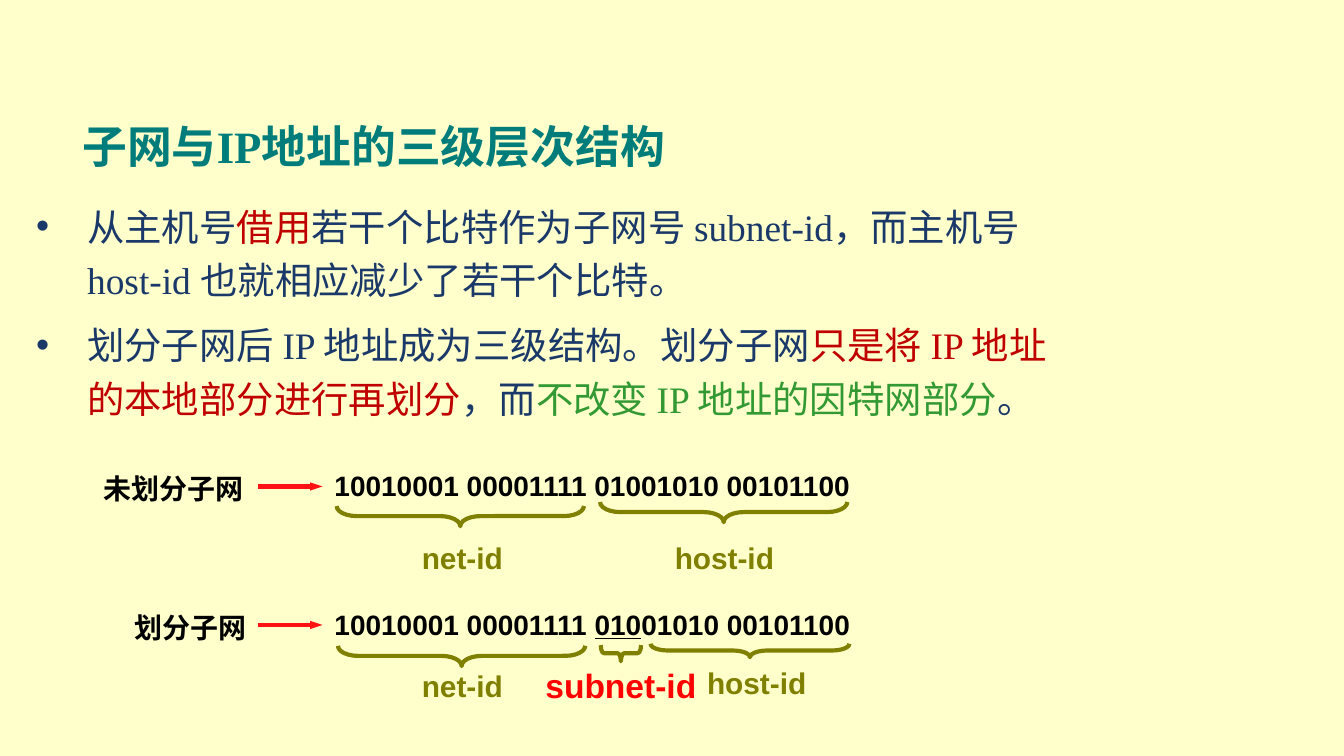
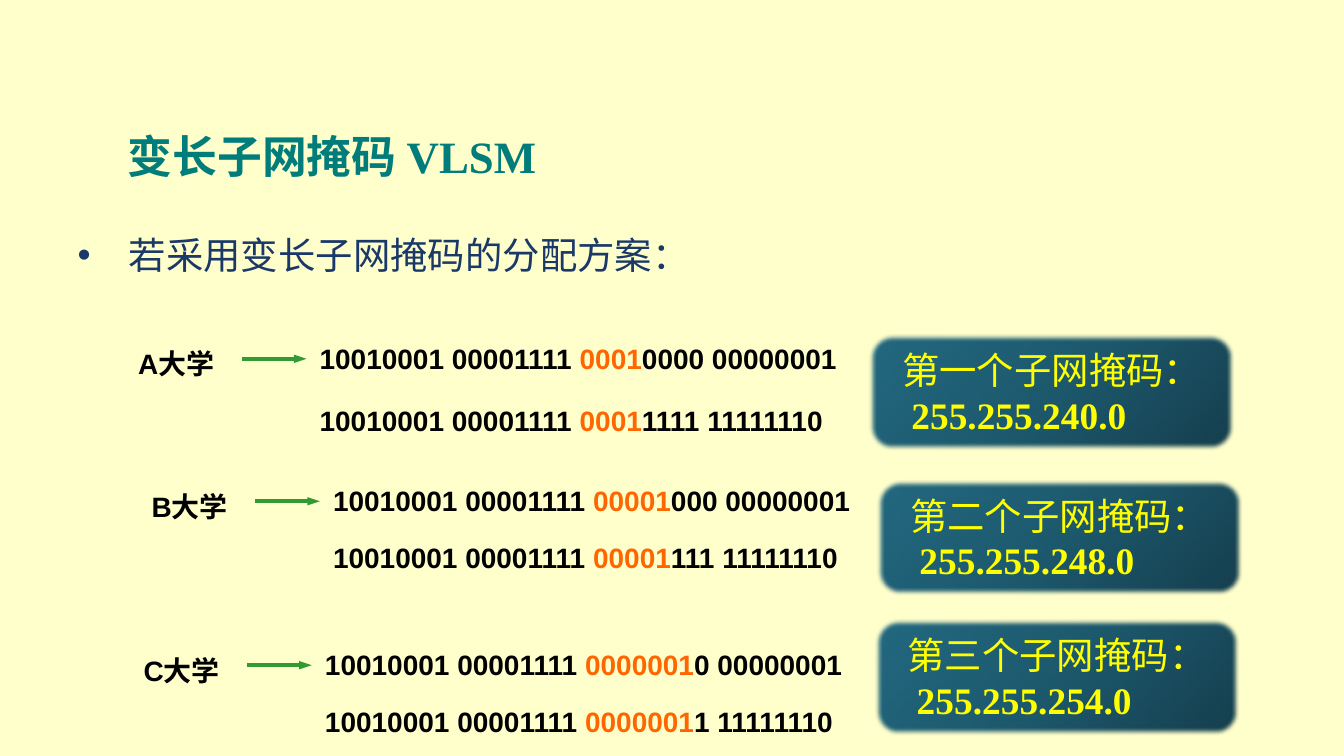
from copy import deepcopy
from lxml.etree import SubElement
from pptx import Presentation
from pptx.dml.color import RGBColor
from pptx.enum.shapes import MSO_CONNECTOR, MSO_SHAPE
from pptx.enum.text import MSO_ANCHOR, PP_ALIGN
from pptx.oxml.ns import qn
from pptx.util import Inches, Pt

CREAM = RGBColor(0xFF, 0xFF, 0xCC)
TEAL = RGBColor(0x00, 0x7D, 0x7A)
NAVY = RGBColor(0x1A, 0x38, 0x68)
CRIMSON = RGBColor(0xC0, 0x00, 0x00)
RED = RGBColor(0xFF, 0x00, 0x00)
ARROW_RED = RGBColor(0xFF, 0x12, 0x12)
GREEN = RGBColor(0x33, 0x99, 0x33)
OLIVE = RGBColor(0x80, 0x80, 0x00)
ORANGE = RGBColor(0xFF, 0x66, 0x00)
BLACK = RGBColor(0x00, 0x00, 0x00)
YELLOW = RGBColor(0xFF, 0xFF, 0x00)
MASK_DARK = RGBColor(0x15, 0x3E, 0x4D)
MASK_MIDDLE = RGBColor(0x1D, 0x59, 0x6D)
MASK_LIGHT = RGBColor(0x23, 0x69, 0x81)

TITLE = {"name": "Times New Roman", "size": Pt(24), "bold": True, "color": TEAL}
BODY = {"name": "Times New Roman", "size": Pt(20), "color": NAVY}
BITS = {"name": "Arial", "size": Pt(15), "bold": True, "color": BLACK}
FIELD = {"name": "Arial", "size": Pt(16), "bold": True, "color": OLIVE}
SUBNET = FIELD | {"size": Pt(18), "color": RED}
MASK = BODY | {"color": YELLOW}

CENTERED = {"alignment": PP_ALIGN.CENTER}
BULLETED = {"space_before": Pt(4), "space_after": Pt(2)}


def write(frame, paragraphs, style, layout={}, bullet=False):
    frame.word_wrap = True
    for index, runs in enumerate(paragraphs):
        paragraph = frame.add_paragraph() if index else frame.paragraphs[0]
        for key, value in layout.items():
            setattr(paragraph, key, value)
        if bullet:
            properties = paragraph._p.get_or_add_pPr()
            properties.set("marL", str(Inches(0.38)))
            properties.set("indent", str(-Inches(0.38)))
            properties.set("hangingPunct", "0")
            SubElement(properties, qn("a:buFont"), typeface="Arial")
            SubElement(properties, qn("a:buChar"), char="•")
        for text, changes in runs:
            run = paragraph.add_run()
            run.text = text
            for key, value in (style | changes).items():
                if key == "color":
                    run.font.color.rgb = value
                else:
                    setattr(run.font, key, value)


def draw_arrow(slide, left, top, color):
    arrow = slide.shapes.add_connector(
        MSO_CONNECTOR.STRAIGHT, Inches(left), Inches(top), Inches(left + 0.48), Inches(top)
    )
    arrow.line.color.rgb = color
    arrow.line.width = Pt(2.25)
    SubElement(arrow.line._get_or_add_ln(), qn("a:tailEnd"), type="triangle", w="sm", len="med")
    SubElement(arrow._element.spPr, qn("a:effectLst"))


prs = Presentation()
prs.slide_width = Inches(10)
prs.slide_height = Inches(10 * 9 / 16)

subnet_points = [
    [
        ("从主机号", {}),
        ("借用", {"color": CRIMSON}),
        ("若干个比特作为子网号 subnet-id，而主机号 host-id 也就相应减少了若干个比特。", {}),
    ],
    [
        ("划分子网后 IP 地址成为三级结构。划分子网", {}),
        ("只是将 IP 地址的本地部分进行再划分", {"color": CRIMSON}),
        ("，而", {}),
        ("不改变 IP 地址的因特网部分", {"color": GREEN}),
        ("。", {}),
    ],
]
vlsm_points = [[("若采用变长子网掩码的分配方案：", {})]]

slides = []
for title, title_box, points, points_box, spacing in [
    ("子网与IP地址的三级层次结构", (0.2, 0.69, 5.16, 0.78), subnet_points, (0.17, 1.4, 7.87, 2.12), 1.2),
    ("变长子网掩码 VLSM", (0.49, 0.79, 3.96, 0.74), vlsm_points, (0.48, 1.68, 6.75, 0.77), 1.0),
]:
    slide = prs.slides.add_slide(prs.slide_layouts[6])
    slide.background.fill.solid()
    slide.background.fill.fore_color.rgb = CREAM
    heading = slide.shapes.add_textbox(*map(Inches, title_box)).text_frame
    heading.vertical_anchor = MSO_ANCHOR.MIDDLE
    write(heading, [[(title, {})]], TITLE, CENTERED)
    body = slide.shapes.add_textbox(*map(Inches, points_box)).text_frame
    write(body, points, BODY, BULLETED | {"line_spacing": spacing}, bullet=True)
    slides.append(slide)

subnet_slide, vlsm_slide = slides

undivided = [("10010001 00001111 01001010 00101100", {})]
divided = [("10010001 00001111 ", {}), ("010", {"underline": True}), ("01010 00101100", {})]
for runs, bits_top, label, label_left, label_width, arrow_top in [
    (undivided, 3.44, "未划分子网", 0.67, 1.25, 3.62),
    (divided, 4.47, "划分子网", 0.9, 1.04, 4.65),
]:
    bits = subnet_slide.shapes.add_textbox(Inches(2.39), Inches(bits_top), Inches(4.15), Inches(0.35))
    write(bits.text_frame, [runs], BITS)
    state = subnet_slide.shapes.add_textbox(
        Inches(label_left), Inches(bits_top + 0.02), Inches(label_width), Inches(0.35)
    )
    write(state.text_frame, [[(label, {})]], BITS)
    draw_arrow(subnet_slide, 1.92, arrow_top, ARROW_RED)

for left, top, depth, span, curve in [
    (3.35, 2.92, 0.15, 1.84, 0.996),
    (5.31, 2.89, 0.15, 1.84, 0.996),
    (3.36, 3.96, 0.15, 1.84, 0.996),
    (4.56, 4.71, 0.12, 0.3, 0.208),
    (5.53, 4.1, 0.1, 1.48, 1.295),
]:
    brace = subnet_slide.shapes.add_shape(
        MSO_SHAPE.LEFT_BRACE, Inches(left), Inches(top), Inches(depth), Inches(span)
    )
    brace.rotation = 270
    brace.adjustments[0] = curve
    brace.shadow.inherit = False
    brace.fill.background()
    brace.line.color.rgb = OLIVE
    brace.line.width = Pt(2.25)

for field, left, top, style in [
    ("net-id", 2.7, 3.97, FIELD),
    ("host-id", 4.65, 3.97, FIELD),
    ("net-id", 2.7, 4.92, FIELD),
    ("host-id", 4.89, 4.9, FIELD),
    ("subnet-id", 3.88, 4.9, SUBNET),
]:
    caption = subnet_slide.shapes.add_textbox(Inches(left), Inches(top), Inches(1.48), Inches(0.37))
    write(caption.text_frame, [[(field, {})]], style, CENTERED)

for university, left, tops, prefix, endings, ordinal, mask, mask_left, mask_top in [
    ("A大学", 0.93, (2.49, 2.95), "0001", ("0000 00000001", "1111 11111110"),
     "一", "255.255.240.0", 6.47, 2.49),
    ("B大学", 1.03, (3.55, 3.97), "00001", ("000 00000001", "111 11111110"),
     "二", "255.255.248.0", 6.53, 3.57),
    ("C大学", 0.97, (4.77, 5.19), "0000001", ("0 00000001", "1 11111110"),
     "三", "255.255.254.0", 6.51, 4.61),
]:
    owner = vlsm_slide.shapes.add_textbox(Inches(left), Inches(tops[0] + 0.04), Inches(0.78), Inches(0.35))
    write(owner.text_frame, [[(university, {})]], BITS)
    draw_arrow(vlsm_slide, left + 0.87, tops[0] + 0.18, GREEN)
    for top, ending in zip(tops, endings):
        address = vlsm_slide.shapes.add_textbox(Inches(left + 1.35), Inches(top), Inches(4.1), Inches(0.35))
        runs = [("10010001 00001111 ", {}), (prefix, {"color": ORANGE}), (ending, {})]
        write(address.text_frame, [runs], BITS)

    card = vlsm_slide.shapes.add_shape(
        MSO_SHAPE.ROUNDED_RECTANGLE, Inches(mask_left), Inches(mask_top), Inches(2.71), Inches(0.86)
    )
    card.fill.gradient()
    card.fill.gradient_angle = 135
    stop_list = card._element.spPr.find(".//" + qn("a:gsLst"))
    stop_list.insert(1, deepcopy(stop_list[0]))
    shades = [(0, MASK_DARK), (0.5, MASK_MIDDLE), (1, MASK_LIGHT)]
    for stop, (position, shade) in zip(card.fill.gradient_stops, shades):
        stop.position = position
        stop.color.rgb = shade
    card.line.color.rgb = BLACK
    card.line.width = Pt(0.75)
    card.shadow.inherit = False
    SubElement(card._element.spPr.find(qn("a:effectLst")), qn("a:softEdge"), rad=str(Pt(2.5)))
    card.text_frame.margin_left = Inches(0.2)
    card.text_frame.vertical_anchor = MSO_ANCHOR.MIDDLE
    lines = [[(f"第{ordinal}个子网掩码：", {})], [(f" {mask}", {"bold": True})]]
    write(card.text_frame, lines, MASK, {"alignment": PP_ALIGN.LEFT})

prs.save("out.pptx")
